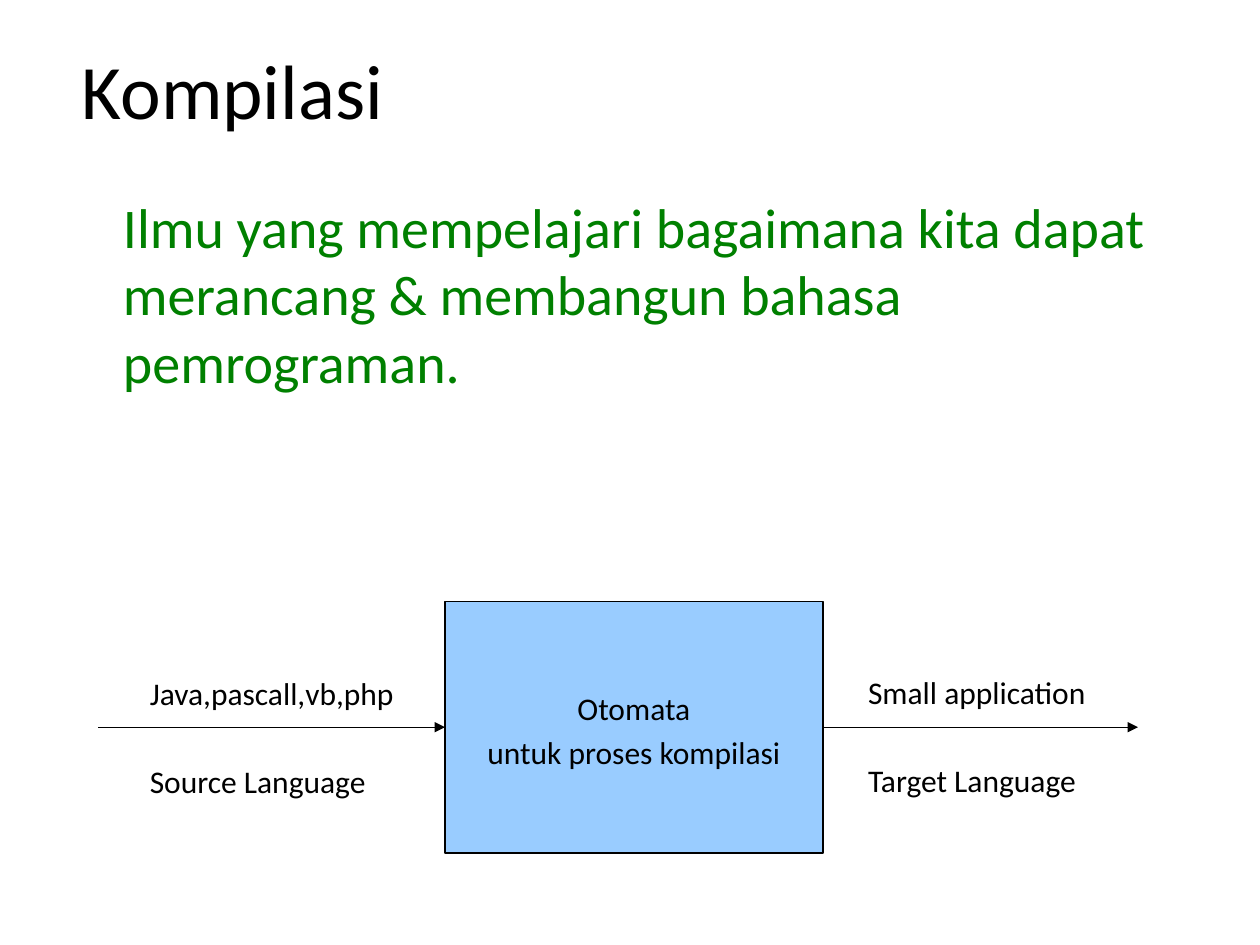
import pptx
import pptx.util
import pptx.dml.color
import pptx.enum.shapes
import pptx.enum.text
import pptx.oxml
import pptx.oxml.ns
from pptx.util import Cm

COLOURS = {"black": "000000", "green": "008000", "blue": "99CCFF"}
ALIGN = pptx.enum.text.PP_ALIGN
ANCHOR = pptx.enum.text.MSO_ANCHOR


def rgb(name):
    return pptx.dml.color.RGBColor.from_string(COLOURS[name])


def write_text(shape, lines, size, colour, frame_format, paragraph_format):
    frame = shape.text_frame
    for name, value in frame_format.items():
        setattr(frame, name, value)
    for index, line in enumerate(lines):
        paragraph = frame.paragraphs[0] if index == 0 else frame.add_paragraph()
        paragraph.text = line
        for name, value in paragraph_format.items():
            if name != "space_before" or index > 0:
                setattr(paragraph, name, value)
        font = {"name": "Calibri", "size": pptx.util.Pt(size)}
        for name, value in font.items():
            setattr(paragraph.font, name, value)
        paragraph.font.color.rgb = rgb(colour)


presentation = pptx.Presentation()
presentation.slide_width, presentation.slide_height = Cm(25.4), Cm(19.05)
slide = presentation.slides.add_slide(presentation.slide_layouts[6])
shapes = slide.shapes

# Title and definition
title = shapes.add_textbox(Cm(1.4), Cm(0.2), Cm(22.86), Cm(3.18))
write_text(title, ["Kompilasi"], 44, "black",
           {"word_wrap": True, "vertical_anchor": ANCHOR.MIDDLE}, {})

definition = shapes.add_textbox(Cm(1.27), Cm(3.76), Cm(22.86), Cm(13.26))
write_text(definition,
           ["Ilmu yang mempelajari bagaimana kita dapat merancang & "
            "membangun bahasa pemrograman."], 32, "green",
           {"word_wrap": True, "margin_left": Cm(1.21)}, {})

# Process box
process = shapes.add_shape(pptx.enum.shapes.MSO_SHAPE.RECTANGLE,
                           Cm(8.97), Cm(12.12), Cm(7.62), Cm(5.08))
process.shadow.inherit = False
process.fill.solid()
process.fill.fore_color.rgb = rgb("blue")
process.line.color.rgb = rgb("black")
process.line.width = pptx.util.Pt(0.75)
write_text(process, ["Otomata", "untuk proses kompilasi"], 18, "black",
           {"word_wrap": False, "vertical_anchor": ANCHOR.MIDDLE},
           {"alignment": ALIGN.CENTER, "line_spacing": 1.16})

# Input and output arrows, each with a label above and below
middle = Cm(14.66)
box_left, box_right = Cm(8.97), Cm(16.59)
flows = [
    (Cm(1.98), box_left, "end_connect", 1, Cm(13.34), Cm(1.04),
     ["Java,pascall,vb,php", "Source Language"]),
    (box_right, Cm(22.94), "begin_connect", 3, Cm(13.31), Cm(0.91),
     ["Small application", "Target Language"]),
]
for start, end, join, side, top, indent, labels in flows:
    arrow = shapes.add_connector(pptx.enum.shapes.MSO_CONNECTOR.STRAIGHT,
                                 start, middle, end, middle)
    getattr(arrow, join)(process, side)
    arrow.line.color.rgb = rgb("black")
    arrow.line.width = pptx.util.Pt(0.75)
    head = pptx.oxml.parse_xml(
        f'<a:tailEnd {pptx.oxml.ns.nsdecls("a")} type="triangle"/>')
    arrow.line._get_or_add_ln().append(head)
    arrow._element.spPr.append(
        pptx.oxml.parse_xml(f'<a:effectLst {pptx.oxml.ns.nsdecls("a")}/>'))

    label = shapes.add_textbox(start, top, end - start, Cm(2.92))
    write_text(label, labels, 18, "black",
               {"word_wrap": True, "vertical_anchor": ANCHOR.MIDDLE,
                "margin_left": indent},
               {"line_spacing": 1.16, "space_before": pptx.util.Pt(25.5)})

presentation.save("out.pptx")
